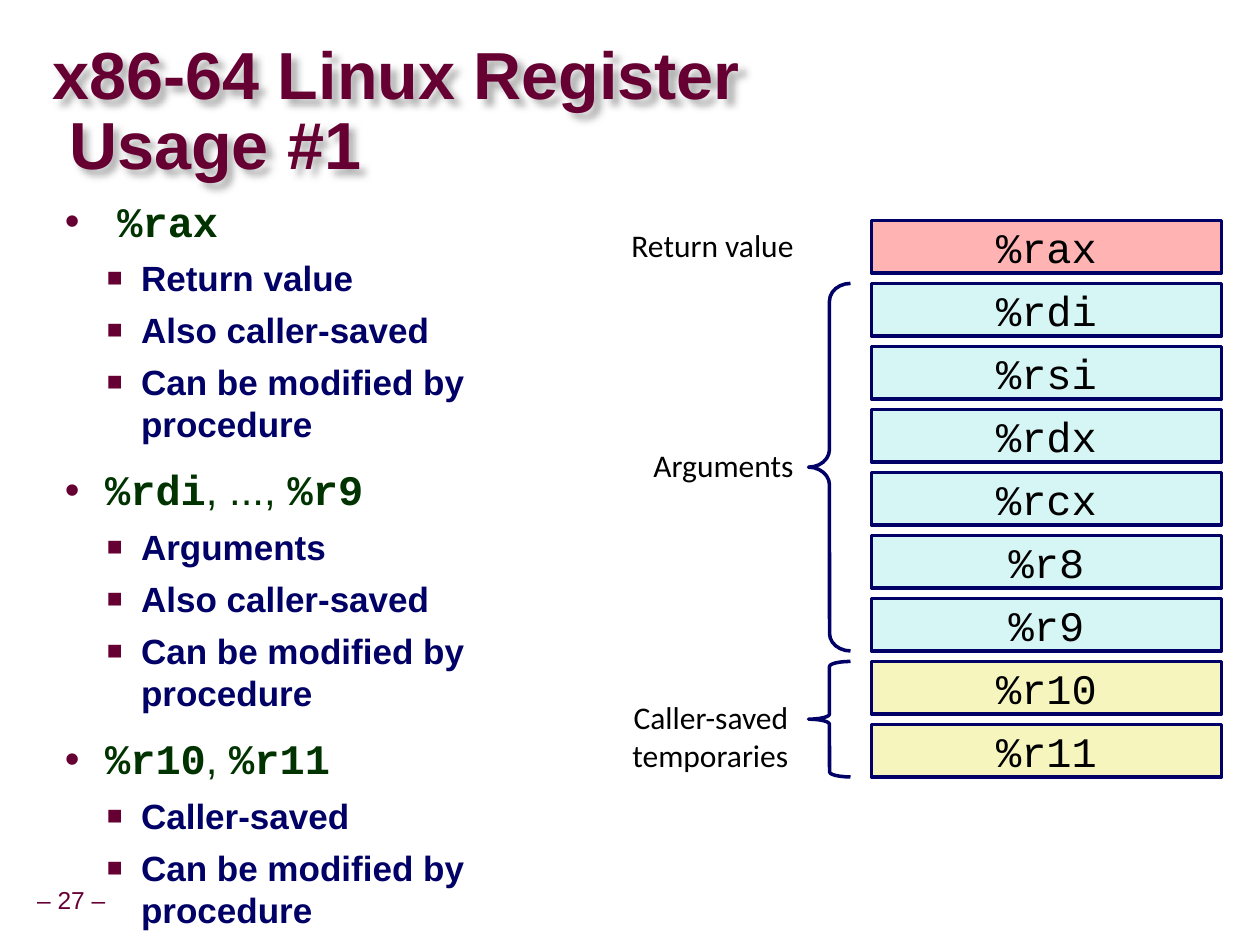
from lxml import etree
from pptx import Presentation
from pptx.dml.color import RGBColor
from pptx.enum import shapes, text
from pptx.oxml import ns
from pptx.util import Pt

COLORS = {
    "maroon": "660033", "green": "003300", "navy": "000066", "black": "000000",
    "shadow": "B2B2B2", "return": "FFB3B3", "argument": "D6F5F5", "temporary": "F6F5BD",
}
REGISTERS = [
    ("%rax", "return"), ("%rdi", "argument"), ("%rsi", "argument"),
    ("%rdx", "argument"), ("%rcx", "argument"), ("%r8", "argument"),
    ("%r9", "argument"), ("%r10", "temporary"), ("%r11", "temporary"),
]
TOPICS = [
    (["%rax"], 30, ["Return value", "Also caller-saved", "Can be modified by procedure"]),
    (["%rdi", ", ..., ", "%r9"], 23, ["Arguments", "Also caller-saved", "Can be modified by procedure"]),
    (["%r10", ", ", "%r11"], 23, ["Caller-saved", "Can be modified by procedure"]),
]


def rgb(name):
    return RGBColor.from_string(COLORS[name])


def add_run(paragraph, words, size, font, color, bold=False):
    run = paragraph.add_run()
    run.text = words
    run.font.size = Pt(size)
    run.font.name = font
    run.font.bold = bold
    run.font.color.rgb = rgb(color)


def set_frame(shape, margins, anchor, wrap=True):
    frame = shape.text_frame
    frame.margin_left = frame.margin_right = Pt(margins[0])
    frame.margin_top = frame.margin_bottom = Pt(margins[1])
    frame.vertical_anchor = anchor
    frame.word_wrap = wrap
    return frame


def add_text_box(slide, box, margins, anchor=text.MSO_ANCHOR.TOP, wrap=True):
    shape = slide.shapes.add_textbox(*map(Pt, box))
    return shape, set_frame(shape, margins, anchor, wrap)


def set_indent(paragraph, left, first):
    properties = paragraph._p.get_or_add_pPr()
    properties.set("marL", str(Pt(left)))
    properties.set("indent", str(Pt(first)))
    return properties


def set_bullet(paragraph, left, hanging, character, percent):
    properties = set_indent(paragraph, left, -hanging)
    color = etree.SubElement(properties, ns.qn("a:buClr"))
    etree.SubElement(color, ns.qn("a:srgbClr"), val=COLORS["maroon"])
    etree.SubElement(properties, ns.qn("a:buSzPct"), val=str(percent * 1000))
    etree.SubElement(properties, ns.qn("a:buFont"), typeface="Arial")
    etree.SubElement(properties, ns.qn("a:buChar"), char=character)


def add_title(slide, box):
    shape, frame = add_text_box(slide, box, (0, 0), text.MSO_ANCHOR.MIDDLE)
    paragraph = frame.paragraphs[0]
    set_indent(paragraph, 9.5, -9.5)
    paragraph.line_spacing = 0.87
    add_run(paragraph, "x86-64 Linux Register Usage #1", 38, "Arial", "maroon", True)
    effects = etree.SubElement(shape._element.spPr, ns.qn("a:effectLst"))
    shadow = etree.SubElement(effects, ns.qn("a:outerShdw"), blurRad=str(Pt(4)),
                              dist=str(Pt(4)), dir="2700000", algn="tl")
    etree.SubElement(shadow, ns.qn("a:srgbClr"), val=COLORS["shadow"])


def add_topics(slide, box):
    frame = add_text_box(slide, box, (7.2, 3.6))[1]
    for index, (parts, indent, details) in enumerate(TOPICS):
        paragraph = frame.add_paragraph() if index else frame.paragraphs[0]
        set_bullet(paragraph, indent, indent, "•", 100)
        paragraph.line_spacing = 0.95
        paragraph.space_before = Pt(13 if index else 0)
        for part in parts:
            is_register = part.startswith("%")
            add_run(paragraph, part, 24, "Courier New" if is_register else "Arial", "green", is_register)
        for detail in details:
            paragraph = frame.add_paragraph()
            paragraph.level = 1
            set_bullet(paragraph, 43.5, 19.5, "■", 75)
            paragraph.space_before = Pt(5.75)
            add_run(paragraph, detail, 20, "Arial", "navy", True)


def add_registers(slide, box, pitch):
    left, top, width, height = box
    for index, (name, group) in enumerate(REGISTERS):
        shape = slide.shapes.add_shape(shapes.MSO_SHAPE.RECTANGLE, Pt(left),
                                       Pt(top + index * pitch), Pt(width), Pt(height))
        shape.shadow.inherit = False
        shape.fill.solid()
        shape.fill.fore_color.rgb = rgb(group)
        shape.line.color.rgb = rgb("navy")
        shape.line.width = Pt(2)
        paragraph = set_frame(shape, (0, 0), text.MSO_ANCHOR.MIDDLE).paragraphs[0]
        paragraph.alignment = text.PP_ALIGN.CENTER
        add_run(paragraph, name, 24, "Courier New", "black")


def add_label(slide, box, lines):
    frame = add_text_box(slide, box, (3, 3), wrap=False)[1]
    for index, line in enumerate(lines):
        paragraph = frame.add_paragraph() if index else frame.paragraphs[0]
        paragraph.alignment = text.PP_ALIGN.RIGHT
        add_run(paragraph, line, 18, "Calibri", "black")


def add_brace(slide, box, curve):
    shape = slide.shapes.add_shape(shapes.MSO_SHAPE.LEFT_BRACE, *map(Pt, box))
    shape.adjustments[0] = curve
    shape.shadow.inherit = False
    shape.fill.background()
    shape.line.color.rgb = rgb("navy")
    shape.line.width = Pt(2)


def add_page_number(slide, box):
    frame = add_text_box(slide, box, (3.6, 3.6), text.MSO_ANCHOR.MIDDLE, False)[1]
    paragraph = frame.paragraphs[0]
    paragraph.alignment = text.PP_ALIGN.CENTER
    paragraph.line_spacing = 0.9
    add_run(paragraph, "– 27 –", 14, "Arial", "maroon")


def main():
    presentation = Presentation()
    presentation.slide_width = Pt(720)
    presentation.slide_height = Pt(540)
    slide = presentation.slides.add_slide(presentation.slide_layouts[6])
    add_page_number(slide, (17, 504, 47.5, 22))
    add_title(slide, (30, 20, 504, 90))
    add_topics(slide, (30, 110, 320, 428))
    add_registers(slide, (498, 126, 200, 30), 36)
    add_label(slide, (356.5, 126, 100, 28), ["Return value"])
    add_label(slide, (369.5, 252, 87, 28), ["Arguments"])
    add_label(slide, (353.5, 396, 100, 50), ["Caller-saved", "temporaries"])
    add_brace(slide, (462, 162, 24, 210), 0.42)
    add_brace(slide, (462, 378, 24, 66), 0.12)
    presentation.save("out.pptx")


if __name__ == "__main__":
    main()
